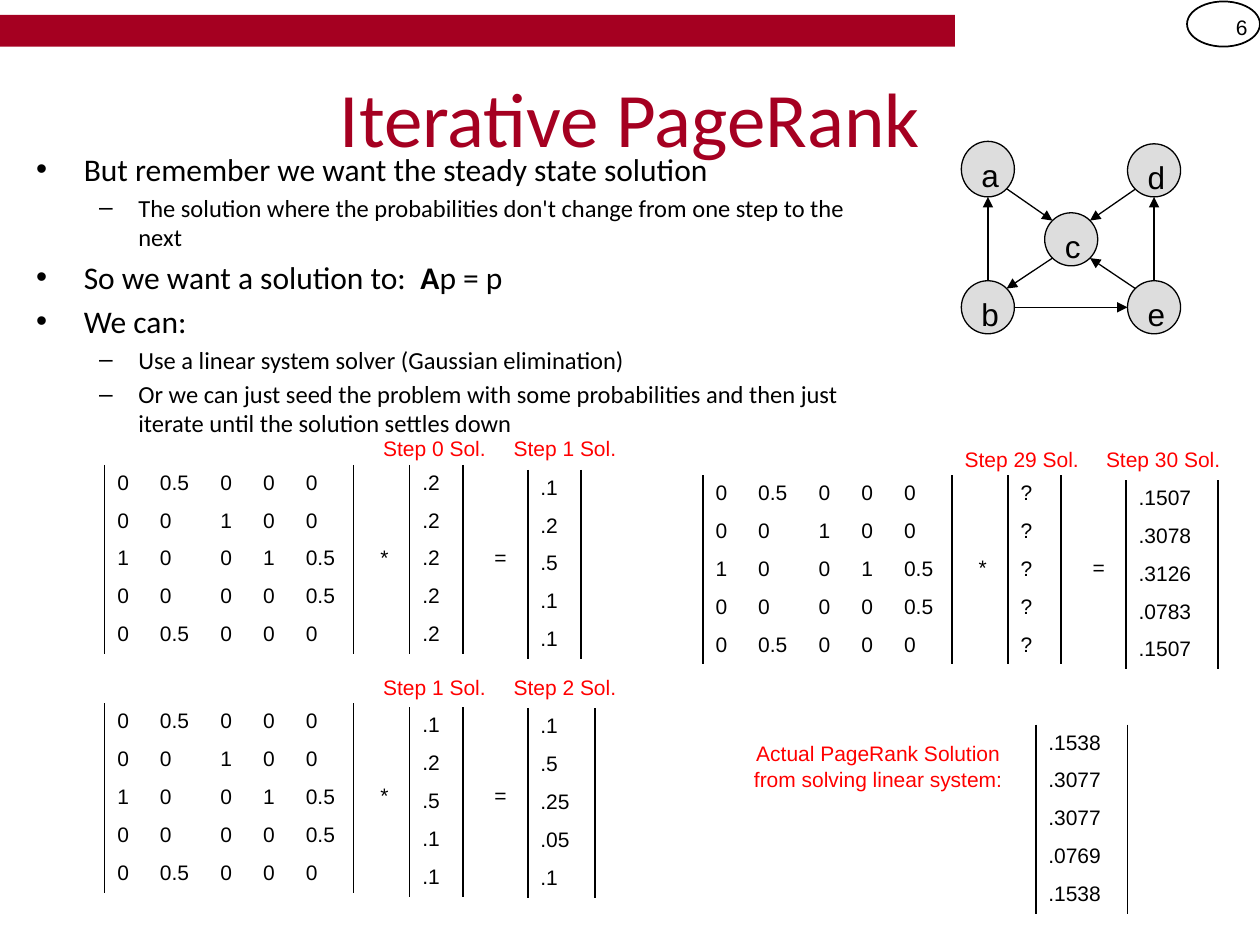
import pptx
import pptx.dml.color
import pptx.enum.shapes
import pptx.enum.text
import pptx.oxml
import pptx.oxml.ns
import pptx.util
from lxml import etree

Cm = pptx.util.Cm
Pt = pptx.util.Pt
qn = pptx.oxml.ns.qn
ALIGN = pptx.enum.text.PP_ALIGN
ANCHOR = pptx.enum.text.MSO_ANCHOR
SHAPE = pptx.enum.shapes.MSO_SHAPE

COLORS = {"crimson": "A50021", "red": "FF0000", "black": "000000",
          "gray": "DDDDDD", "white": "FFFFFF"}
NO_TABLE_STYLE = "{2D5ABB26-0587-4C30-8999-92F81FD0307C}"
ROW_HEIGHT = 0.73
TRANSITIONS = ["0 0.5 0 0 0", "0 0 1 0 0", "1 0 0 1 0.5", "0 0 0 0 0.5", "0 0.5 0 0 0"]
TRANSITION_WIDTHS = [0.86, 1.22, 0.86, 0.86, 1.22]

BULLETS = [
    (0, [("But remember we want the steady state solution", False)]),
    (1, [("The solution where the probabilities don't change from one step to the next", False)]),
    (0, [("So we want a solution to:  ", False), ("A", True), ("p = p", False)]),
    (0, [("We can:", False)]),
    (1, [("Use a linear system solver (Gaussian elimination)", False)]),
    (1, [("Or we can just seed the problem with some probabilities and then just "
          "iterate until the solution settles down", False)]),
]
LEVELS = [("•", 18, 0.96, -0.96), ("–", 14, 2.06, -0.79)]

NODES = {"a": (19.38, 2.85, 1.12), "b": (19.38, 5.66, 1.07), "d": (22.73, 2.9, 1.07),
         "c": (21.06, 4.29, 1.07), "e": (22.73, 5.66, 1.07)}
SITES = {"top": 0, "top left": 1, "left": 2, "bottom left": 3,
         "bottom": 4, "bottom right": 5, "right": 6, "top right": 7}
EDGES = [("a", "bottom right", "c", "top left"), ("b", "top", "a", "bottom"),
         ("e", "top", "d", "bottom"), ("e", "top left", "c", "bottom right"),
         ("d", "bottom left", "c", "top right"), ("b", "right", "e", "left"),
         ("c", "bottom left", "b", "top right")]


def color(name):
    return pptx.dml.color.RGBColor.from_string(COLORS[name])


def add_span(para, text, size, tone="black", font="Arial", bold=False):
    span = para.add_run()
    span.text = text
    span.font.name = font
    span.font.size = Pt(size)
    span.font.bold = bold
    span.font.color.rgb = color(tone)


def add_text(page, place, text, size=12, tone="black", font="Arial",
             align=ALIGN.CENTER, anchor=ANCHOR.TOP):
    box = page.shapes.add_textbox(*map(Cm, place))
    box.text_frame.word_wrap = True
    box.text_frame.vertical_anchor = anchor
    para = box.text_frame.paragraphs[0]
    para.alignment = align
    add_span(para, text, size, tone, font)


def add_preset(page, kind, place, fill=None, line=None):
    shape = page.shapes.add_shape(kind, *map(Cm, place))
    shape.shadow.inherit = False
    if fill:
        shape.fill.solid()
        shape.fill.fore_color.rgb = color(fill)
    else:
        shape.fill.background()
    if line:
        shape.line.color.rgb = color("black")
        shape.line.width = Pt(line)
    else:
        shape.line.fill.background()
    return shape


def add_bullets(page):
    box = page.shapes.add_textbox(Cm(0.48), Cm(2.9), Cm(17.09), Cm(6.32))
    frame = box.text_frame
    frame.word_wrap = True
    for index, (level, spans) in enumerate(BULLETS):
        mark, size, margin, indent = LEVELS[level]
        para = frame.add_paragraph() if index else frame.paragraphs[0]
        para.level = level
        if index:
            para.space_before = Pt(size * 0.2)
        properties = para._p.get_or_add_pPr()
        properties.set("marL", str(Cm(margin)))
        properties.set("indent", str(Cm(indent)))
        etree.SubElement(properties, qn("a:buFont")).set("typeface", "Arial")
        etree.SubElement(properties, qn("a:buChar")).set("char", mark)
        for text, bold in spans:
            add_span(para, text, size, font="Calibri", bold=bold)


def add_node(page, letter):
    left, top, height = NODES[letter]
    node = add_preset(page, SHAPE.OVAL, (left, top, 1.07, height), "gray", 0.75)
    node.text_frame.word_wrap = False
    node.text_frame.vertical_anchor = ANCHOR.TOP
    para = node.text_frame.paragraphs[0]
    para.alignment = ALIGN.LEFT
    add_span(para, letter, 18)
    return node


def site_point(node, side):
    reach = 0.5 ** 0.5 if " " in side else 1
    across = ("right" in side) - ("left" in side)
    down = ("bottom" in side) - ("top" in side)
    return (int(node.left + node.width / 2 * (1 + across * reach)),
            int(node.top + node.height / 2 * (1 + down * reach)))


def add_edge(page, source, source_side, target, target_side):
    edge = page.shapes.add_connector(
        pptx.enum.shapes.MSO_CONNECTOR.STRAIGHT,
        *site_point(source, source_side), *site_point(target, target_side))
    edge.line.color.rgb = color("black")
    edge.line.width = Pt(0.75)
    joints = edge._element.nvCxnSpPr.cNvCxnSpPr
    for joint, node, side in ((joints.get_or_add_stCxn(), source, source_side),
                              (joints.get_or_add_endCxn(), target, target_side)):
        joint.id = node.shape_id
        joint.idx = SITES[side]
    etree.SubElement(edge.line._get_or_add_ln(), qn("a:tailEnd")).set("type", "triangle")
    etree.SubElement(edge._element.spPr, qn("a:effectLst"))


def add_border(cell, tag, position):
    border = etree.Element(qn(tag), w=str(Pt(1)))
    fill = etree.SubElement(border, qn("a:solidFill"))
    etree.SubElement(fill, qn("a:srgbClr")).set("val", COLORS["black"])
    cell._tc.get_or_add_tcPr().insert(position, border)


def add_matrix(page, left, top, rows, widths, fill=None):
    frame = page.shapes.add_table(len(rows), len(widths), Cm(left), Cm(top),
                                  Cm(sum(widths)), Cm(ROW_HEIGHT * len(rows)))
    table = frame.table
    table.first_row = table.horz_banding = False
    table._tbl.tblPr.find(qn("a:tableStyleId")).text = NO_TABLE_STYLE
    for column, width in zip(table.columns, widths):
        column.width = Cm(width)
    for row_index, row in enumerate(rows):
        table.rows[row_index].height = Cm(ROW_HEIGHT)
        for column_index, value in enumerate(row.split()):
            cell = table.cell(row_index, column_index)
            if fill:
                cell.fill.solid()
                cell.fill.fore_color.rgb = color(fill)
            else:
                cell.fill.background()
            if column_index == len(widths) - 1:
                add_border(cell, "a:lnR", 0)
            if column_index == 0:
                add_border(cell, "a:lnL", 0)
            add_span(cell.text_frame.paragraphs[0], value, 12)


def add_step(page, left, top, before, after, after_width, numbers, before_center, drop=0):
    add_matrix(page, left, top, TRANSITIONS, TRANSITION_WIDTHS)
    add_matrix(page, left + 6.15, top + drop, before.split(), [1.07], "white")
    add_matrix(page, left + 8.53, top + 0.1, after.split(), [after_width], "white")
    for sign, offset in (("*", 5.08), ("=", 7.42)):
        add_text(page, (left + offset, top + 1.48, 1.12, 0.64), sign)
    for number, center in zip(numbers, (before_center, 9.28)):
        add_text(page, (left + center - 1.5, top - 0.71, 3, 0.64),
                 f"Step {number} Sol.", tone="red")


def main():
    deck = pptx.Presentation()
    deck.slide_width, deck.slide_height = Cm(25.4), Cm(19.05)
    page = deck.slides.add_slide(deck.slide_layouts[6])

    add_preset(page, SHAPE.RECTANGLE, (0, 0.3, 19.25, 0.64), "crimson")
    add_preset(page, SHAPE.OVAL, (23.93, 0.03, 1.47, 0.91), line=1)
    add_text(page, (23.93, 0.03, 1.47, 1.02), "6", align=ALIGN.RIGHT, anchor=ANCHOR.MIDDLE)
    add_text(page, (1.27, 0.76, 22.86, 3.18), "Iterative PageRank", 44, "crimson",
             "Calibri", anchor=ANCHOR.MIDDLE)
    add_bullets(page)

    nodes = {letter: add_node(page, letter) for letter in NODES}
    for source, source_side, target, target_side in EDGES:
        add_edge(page, nodes[source], source_side, nodes[target], target_side)

    add_step(page, 2.11, 9.37, ".2 .2 .2 .2 .2", ".1 .2 .5 .1 .1", 1.07, (0, 1), 6.65)
    add_step(page, 2.11, 14.18, ".1 .2 .5 .1 .1", ".1 .5 .25 .05 .1", 1.35, (1, 2), 6.65, 0.08)
    add_step(page, 14.17, 9.58, "? ? ? ? ?", ".1507 .3078 .3126 .0783 .1507", 1.85,
             (29, 30), 6.43)
    add_matrix(page, 20.88, 14.61, ".1538 .3077 .3077 .0769 .1538".split(), [1.85], "white")
    add_text(page, (14.81, 14.81, 5.79, 1.17),
             "Actual PageRank Solution from solving linear system:", tone="red")
    deck.save("out.pptx")


if __name__ == "__main__":
    main()
